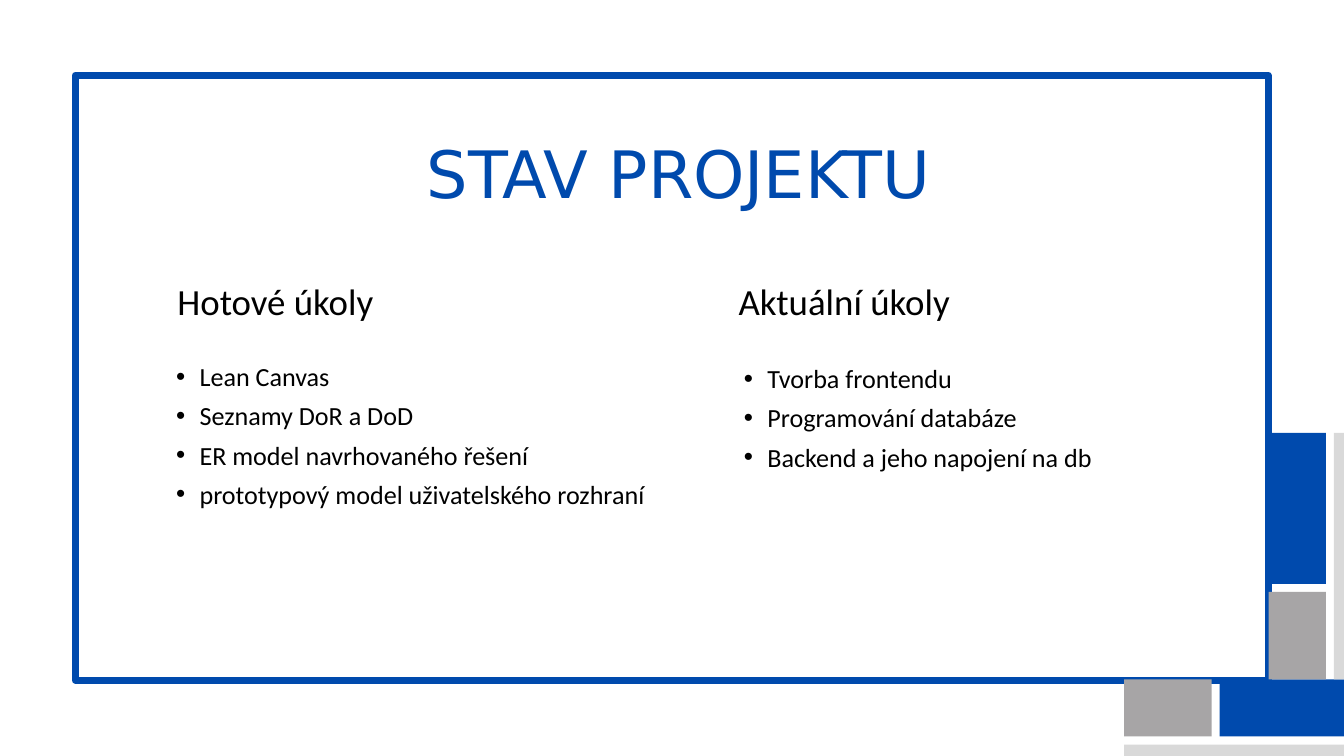
from lxml import etree
from pptx import Presentation
from pptx.dml.color import RGBColor
from pptx.enum import shapes, text
from pptx.oxml import ns
from pptx.util import Inches, Pt

BLUE = RGBColor(0x00, 0x4A, 0xAD)
GRAY = RGBColor(0xA7, 0xA5, 0xA6)
LIGHT = RGBColor(0xD9, 0xD9, 0xD9)
WHITE = RGBColor(0xFF, 0xFF, 0xFF)
BLACK = RGBColor(0x00, 0x00, 0x00)

DONE = ["Lean Canvas", "Seznamy DoR a DoD", "ER model navrhovaného řešení",
        "prototypový model uživatelského rozhraní"]
CURRENT = ["Tvorba frontendu", "Programování databáze",
           "Backend a jeho napojení na db"]


def add_block(slide, box, fill):
    block = slide.shapes.add_shape(shapes.MSO_SHAPE.RECTANGLE,
                                   *(Inches(v) for v in box))
    block.shadow.inherit = False
    block.fill.solid()
    block.fill.fore_color.rgb = fill
    block.line.fill.background()
    slide.shapes.title.element.addprevious(block.element)
    return block


def add_frame(slide, box):
    frame = add_block(slide, box, WHITE)
    frame.line.color.rgb = BLUE
    frame.line.width = Pt(7.5)


def add_corner(slide, left, top):
    thick, edge, short, long, gap = 0.85, 0.7, 1.3, 2.25, 0.12
    span = short + gap + long
    column, row = left + 2.15, top + span
    add_block(slide, (left + short + gap, row, long, thick), BLUE)
    add_block(slide, (left, row, short, thick), GRAY)
    add_block(slide, (left, row + thick + gap, span, edge), LIGHT)
    add_block(slide, (column, top, thick, long), BLUE)
    add_block(slide, (column, top + long + gap, thick, short), GRAY)
    add_block(slide, (column + thick + gap, top, edge, span), LIGHT)


def add_bullet(paragraph):
    paragraph.level = 1
    props = paragraph._p.get_or_add_pPr()
    props.set("marL", str(Inches(0.71)))
    props.set("indent", str(-Inches(0.35)))
    etree.SubElement(props, ns.qn("a:buFont")).set("typeface", "Arial")
    etree.SubElement(props, ns.qn("a:buChar")).set("char", "•")


def fill_text(holder, box, lines, size, spacing, align,
              font="Calibri", color=BLACK, bullets=False):
    holder.left, holder.top, holder.width, holder.height = map(Inches, box)
    frame = holder.text_frame
    frame.text = "\n".join(lines)
    frame.word_wrap = True
    frame.auto_size = text.MSO_AUTO_SIZE.SHAPE_TO_FIT_TEXT
    frame.vertical_anchor = text.MSO_ANCHOR.TOP
    frame.margin_left = frame.margin_right = 0
    frame.margin_top = frame.margin_bottom = 0
    for paragraph in frame.paragraphs:
        if bullets:
            add_bullet(paragraph)
        paragraph.alignment = align
        paragraph.line_spacing = Pt(spacing)
        paragraph.space_before = Pt(0)
        paragraph.font.size = Pt(size)
        paragraph.font.name = font
        paragraph.font.bold = False
        paragraph.font.color.rgb = color


def fill_column(heading, tasks, heading_box, tasks_box, title, items):
    justify = text.PP_ALIGN.JUSTIFY
    fill_text(heading, heading_box, [title], 39.5, 56, justify)
    fill_text(tasks, tasks_box, items, 28, 42, justify, bullets=True)


def build_status(slide):
    add_frame(slide, (1.12, 1.12, 17.75, 9))
    add_corner(slide, 16.73, 6.44)
    title, done_head, done, current_head, current = slide.placeholders
    fill_text(title, (4.19, 1.78, 11.82, 1.31), ["STAV PROJEKTU"], 70, 98,
              text.PP_ALIGN.CENTER, "DejaVu Sans", BLUE)
    fill_column(done_head, done, (2.64, 4.02, 6.97, 0.73),
                (2.26, 5.25, 7.84, 2.31), "Hotové úkoly", DONE)
    fill_column(current_head, current, (10.99, 4.02, 6.97, 0.73),
                (10.71, 5.28, 7.27, 1.73), "Aktuální úkoly", CURRENT)


def main():
    deck = Presentation()
    deck.slide_width, deck.slide_height = Inches(20), Inches(11.25)
    slide = deck.slides.add_slide(deck.slide_layouts.get_by_name("Comparison"))
    for holder in list(slide.placeholders):
        if holder.placeholder_format.idx >= 10:
            holder.element.getparent().remove(holder.element)
    build_status(slide)
    deck.save("out.pptx")


if __name__ == "__main__":
    main()
